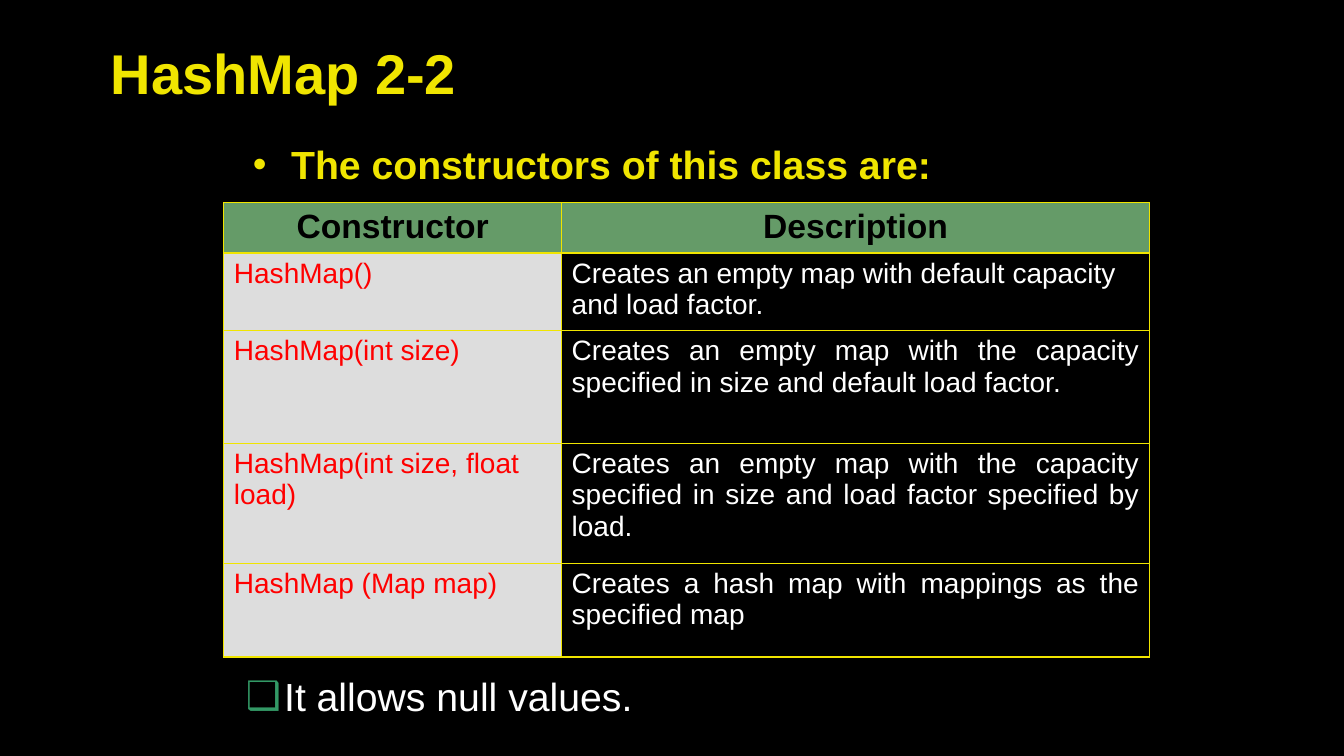
from dataclasses import dataclass

from lxml import etree
from pptx import Presentation
from pptx import util as u
from pptx.dml.color import RGBColor
from pptx.enum import text
from pptx.oxml.ns import qn


@dataclass(frozen=True)
class Theme:
    font: str = "Arial"
    background: str = "000000"
    accent: str = "F0E500"
    body: str = "FFFFFF"
    code: str = "FF0000"
    header_text: str = "000000"
    header_fill: str = "659B68"
    code_fill: str = "DDDDDD"
    bullet: str = "339966"
    title_size: int = 40
    bullet_size: int = 28
    header_size: int = 24
    cell_size: int = 20


@dataclass(frozen=True)
class Bullet:
    left: float
    top: float
    width: float
    words: str
    mark: str
    mark_color: str
    color: str
    bold: bool


@dataclass(frozen=True)
class Constructor:
    signature: str
    description: str
    height: float
    alignment: text.PP_ALIGN = text.PP_ALIGN.JUSTIFY


THEME = Theme()
BULLETS = (
    Bullet(2.41, 1.31, 8.9, "The constructors of this class are:", "•", THEME.accent, THEME.accent, True),
    Bullet(2.34, 6.59, 9, "It allows null values.", "❑", THEME.bullet, THEME.body, False),
)
CONSTRUCTORS = (
    Constructor("HashMap()", "Creates an empty map with default capacity and load factor.",
                0.72, text.PP_ALIGN.LEFT),
    Constructor("HashMap(int size)",
                "Creates an empty map with the capacity specified in size and default load factor.", 1.12),
    Constructor("HashMap(int size, float load)",
                "Creates an empty map with the capacity specified in size and load factor specified by load.",
                1.19),
    Constructor("HashMap (Map map)", "Creates a hash map with mappings as the specified map", 0.93),
)
COLUMN_WIDTHS = (3.35, 5.83)
HEADER_HEIGHT = 0.47


def write(frame, words: str, size: int, color: str, bold: bool = False,
          alignment: text.PP_ALIGN = text.PP_ALIGN.LEFT):
    """Fill a text frame with one formatted paragraph and return it."""
    frame.text = words
    paragraph = frame.paragraphs[0]
    paragraph.alignment = alignment
    font = paragraph.font
    font.name, font.size, font.bold = THEME.font, u.Pt(size), bold
    font.color.rgb = RGBColor.from_string(color)
    return paragraph


def add_bullet(slide, bullet: Bullet) -> None:
    box = slide.shapes.add_textbox(u.Inches(bullet.left), u.Inches(bullet.top),
                                   u.Inches(bullet.width), u.Inches(0.63))
    frame = box.text_frame
    frame.word_wrap = True
    frame.vertical_anchor = text.MSO_ANCHOR.MIDDLE
    paragraph = write(frame, bullet.words, THEME.bullet_size, bullet.color, bullet.bold)
    properties = paragraph._p.get_or_add_pPr()
    properties.set("marL", str(u.Inches(0.38)))
    properties.set("indent", str(-u.Inches(0.38)))
    mark_color = etree.Element(qn("a:buClr"))
    etree.SubElement(mark_color, qn("a:srgbClr"), val=bullet.mark_color)
    mark_font = etree.Element(qn("a:buFont"), typeface=THEME.font)
    mark = etree.Element(qn("a:buChar"), char=bullet.mark)
    for index, element in enumerate((mark_color, mark_font, mark)):
        properties.insert(index, element)


def format_cell(cell, fill: str | None) -> None:
    """Outline a cell on all sides and fill it, or leave it clear."""
    properties = cell._tc.get_or_add_tcPr()
    for side in ("lnL", "lnR", "lnT", "lnB"):
        line = etree.SubElement(properties, qn(f"a:{side}"), w=str(u.Pt(1)))
        solid = etree.SubElement(line, qn("a:solidFill"))
        etree.SubElement(solid, qn("a:srgbClr"), val=THEME.accent)
    if fill is None:
        cell.fill.background()
    else:
        cell.fill.solid()
        cell.fill.fore_color.rgb = RGBColor.from_string(fill)


def add_constructor_table(slide) -> None:
    heights = [HEADER_HEIGHT] + [constructor.height for constructor in CONSTRUCTORS]
    table = slide.shapes.add_table(len(heights), len(COLUMN_WIDTHS), u.Inches(2.22), u.Inches(2.01),
                                   u.Inches(sum(COLUMN_WIDTHS)), u.Inches(sum(heights))).table
    table.first_row = table.horz_banding = False
    for column, width in zip(table.columns, COLUMN_WIDTHS):
        column.width = u.Inches(width)
    for row, height in zip(table.rows, heights):
        row.height = u.Inches(height)

    # Header row
    for column, heading in enumerate(("Constructor", "Description")):
        cell = table.cell(0, column)
        write(cell.text_frame, heading, THEME.header_size, THEME.header_text, True, text.PP_ALIGN.CENTER)
        format_cell(cell, THEME.header_fill)

    # One row for each constructor
    for row, constructor in enumerate(CONSTRUCTORS, start=1):
        signature, description = table.cell(row, 0), table.cell(row, 1)
        write(signature.text_frame, constructor.signature, THEME.cell_size, THEME.code)
        format_cell(signature, THEME.code_fill)
        write(description.text_frame, constructor.description, THEME.cell_size, THEME.body,
              alignment=constructor.alignment)
        format_cell(description, None)


def main() -> None:
    presentation = Presentation()
    presentation.slide_width, presentation.slide_height = u.Inches(13.33), u.Inches(7.5)
    slide = presentation.slides.add_slide(presentation.slide_layouts[5])
    slide.background.fill.solid()
    slide.background.fill.fore_color.rgb = RGBColor.from_string(THEME.background)

    # Title
    title = slide.shapes.title
    title.left, title.top = u.Inches(1), u.Inches(0.28)
    title.width, title.height = u.Inches(12), u.Inches(0.87)
    title.text_frame.vertical_anchor = text.MSO_ANCHOR.MIDDLE
    write(title.text_frame, "HashMap 2-2", THEME.title_size, THEME.accent, True)

    # Bullets and table
    for bullet in BULLETS:
        add_bullet(slide, bullet)
    add_constructor_table(slide)
    presentation.save("out.pptx")


if __name__ == "__main__":
    main()
